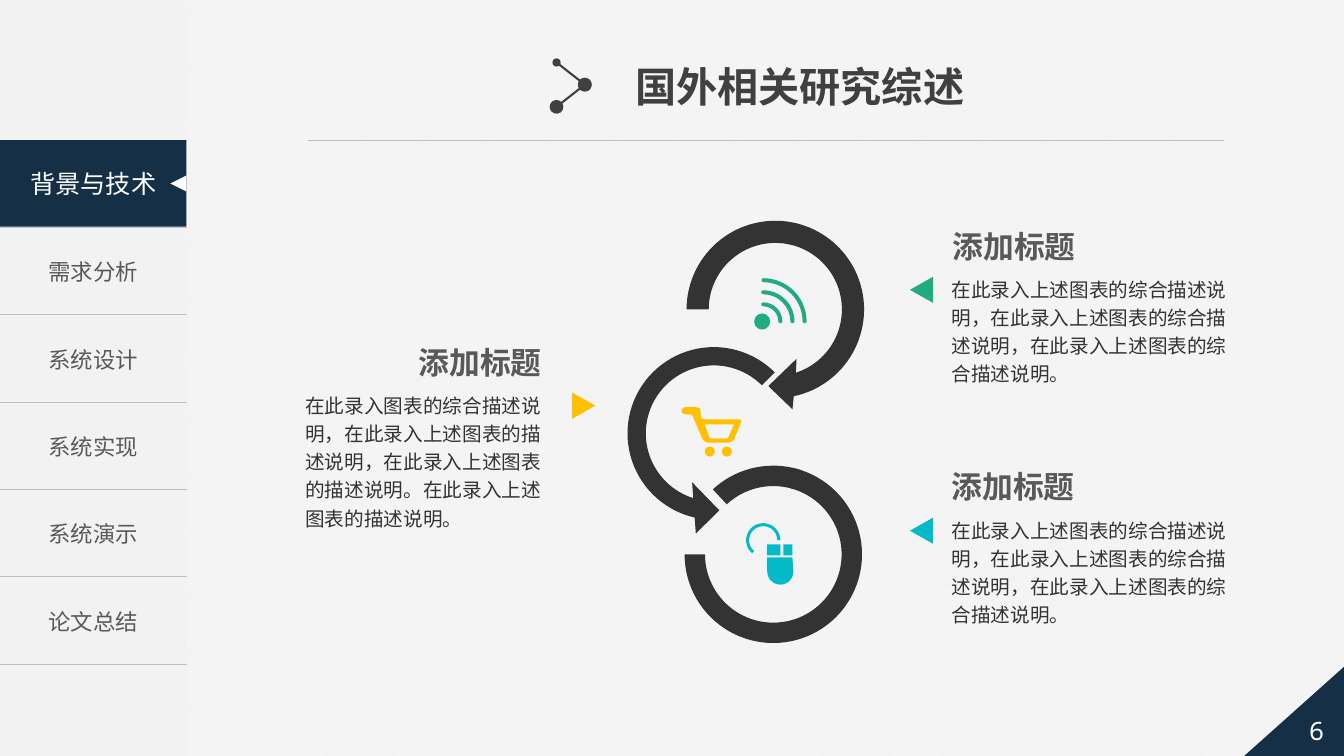
from math import ceil, cos, radians, sin, tan

from lxml.etree import SubElement
from pptx import Presentation
from pptx.dml.color import RGBColor
from pptx.enum.dml import MSO_PATTERN
from pptx.enum.shapes import MSO_CONNECTOR, MSO_SHAPE
from pptx.enum.text import MSO_ANCHOR, MSO_AUTO_SIZE, PP_ALIGN
from pptx.oxml.ns import qn
from pptx.util import Inches, Pt

COLORS = {
    "paper": "F2F2F2", "white": "FFFFFF", "navy": "152F47", "rule": "BFBFBF",
    "title": "404040", "heading": "595959", "dark": "333333",
    "green": "21AB82", "yellow": "FFC000", "cyan": "05BAC8",
}
SANS = "Noto Sans CJK SC"
TITLE = "国外相关研究综述"
PAGE_NUMBER = "6"
ACTIVE_SECTION = "背景与技术"
SECTIONS = ["需求分析", "系统设计", "系统实现", "系统演示", "论文总结"]
RIGHT_TEXT = "在此录入上述图表的综合描述说明，" * 2 + "在此录入上述图表的综合描述说明。"
LEFT_TEXT = ("在此录入图表的综合描述说明，在此录入上述图表的描述说明，"
             "在此录入上述图表的描述说明。在此录入上述图表的描述说明。")
TOPICS = [
    ("添加标题", RIGHT_TEXT, "green", (9.35, 2.21), (9.34, 2.66, 3.09, 1.23), 9.01, 270, PP_ALIGN.LEFT),
    ("添加标题", RIGHT_TEXT, "cyan", (9.34, 4.59), (9.34, 5.05, 3.09, 1.23), 9.01, 270, PP_ALIGN.LEFT),
    ("添加标题", LEFT_TEXT, "yellow", (4.03, 3.36), (2.93, 3.81, 2.67, 1.51), 5.66, 90, PP_ALIGN.RIGHT),
]
SIDEBAR_WIDTH, MENU_TOP, MENU_HEIGHT = 1.85, 1.39, 5.2
TOP_RING = (7.69, 3.07)
TOP_OUTER, TOP_INNER = 0.88, 0.66
ARROW_HEAD = [(7.86, 4.06), (7.62, 3.83), (7.9, 3.56)]
LOWER_RING = (6.79, 4.62, 1.76, 1.76)
LOWER_ARCS = [(136.244, 172.282, 0.115), (170.851, 108, 0.115)]
MIDDLE_ARROW = (0.089, 11.423, 62.936, 189, 0.125)
SIGNAL_CENTER = (7.57, 3.19)
SIGNAL_RADII = [0.17, 0.29, 0.41]
CART_BODY = [
    (7.34, 4.16), (6.99, 4.16), (6.96, 4.15), (6.95, 4.12), (6.95, 4.08),
    (6.94, 4.05), (6.91, 4.04), (6.79, 4.04), (6.77, 4.05), (6.76, 4.08),
    (6.77, 4.1), (6.79, 4.11), (6.84, 4.11), (6.87, 4.12), (6.88, 4.15),
    (6.97, 4.36), (6.99, 4.38), (7.02, 4.39), (7.23, 4.39), (7.26, 4.38),
    (7.28, 4.36), (7.35, 4.19), (7.35, 4.17),
]
CART_BASKET = [(7.22, 4.35), (7.04, 4.35), (6.99, 4.21), (7.28, 4.21)]
MOUSE_BUTTONS = [(7.61, 7.74), (7.77, 7.86)]

deck = Presentation()
deck.slide_width, deck.slide_height = Inches(13.33), Inches(7.5)
page = deck.slides.add_slide(deck.slide_layouts[6])


def rgb(name):
    return RGBColor.from_string(COLORS[name])


def place(*lengths):
    return [Inches(length) for length in lengths]


def paint(shape, color):
    shape.shadow.inherit = False
    shape.line.fill.background()
    if color:
        shape.fill.solid()
        shape.fill.fore_color.rgb = rgb(color)
    else:
        shape.fill.background()


def add_preset(kind, frame, color, rotation=0, flipped=False, adjustments=()):
    shape = page.shapes.add_shape(kind, *place(*frame))
    paint(shape, color)
    shape.rotation = rotation
    for index, value in enumerate(adjustments):
        shape.adjustments[index] = value
    if flipped:
        shape._element.spPr.xfrm.set("flipH", "1")
    return shape


def write(frame, text, size, color, align=PP_ALIGN.CENTER, bold=False, font=SANS):
    para = frame.paragraphs[0]
    para.text = text
    para.alignment = align
    para.font.size = Pt(size)
    para.font.bold = bold
    para.font.color.rgb = rgb(color)
    para.font.name = font
    defaults = para._p.get_or_add_pPr().find(qn("a:defRPr"))
    SubElement(defaults, qn("a:ea"), typeface=font)
    return para


def add_text(frame, text, size, color, align, wrap=False, **style):
    box = page.shapes.add_textbox(*place(*frame))
    box.text_frame.word_wrap = wrap
    box.text_frame.auto_size = MSO_AUTO_SIZE.SHAPE_TO_FIT_TEXT
    return write(box.text_frame, text, size, color, align, **style)


def add_line(start, end, color, width, ends=()):
    line = page.shapes.add_connector(MSO_CONNECTOR.STRAIGHT, *place(*start, *end))
    line.line.color.rgb = rgb(color)
    line.line.width = Pt(width)
    for tag, size in zip(("a:headEnd", "a:tailEnd"), ends):
        SubElement(line.line._get_or_add_ln(), qn(tag), type="oval", w=size, len=size)
    SubElement(line._element.spPr, qn("a:effectLst"))


def straight(points):
    return [[point] for point in points]


def arc(center, radius, start, end):
    count = ceil(abs(end - start) / 60)
    turn = radians(end - start) / count
    pull = 4 / 3 * tan(turn / 4)

    def spot(angle, reach=0):
        return (center[0] + radius * (cos(angle) - reach * sin(angle)),
                center[1] + radius * (sin(angle) + reach * cos(angle)))

    steps = [[spot(radians(start))]]
    for index in range(count):
        begin = radians(start) + turn * index
        finish = begin + turn
        steps.append([spot(begin, pull), spot(finish, -pull), spot(finish)])
    return steps


def add_outline(color, *contours):
    builder = page.shapes.build_freeform(*place(*contours[0][0][0]))
    for index, contour in enumerate(contours):
        if index:
            builder.move_to(*place(*contour[0][0]))
        builder.add_line_segments([place(*point) for step in contour[1:] for point in step], close=True)
    shape = builder.convert_to_shape()
    paint(shape, color)
    lines = shape._element.spPr.iter(qn("a:lnTo"))
    lines = iter(list(lines))
    for step in (step for contour in contours for step in contour[1:]):
        first, *others = [next(lines) for point in step]
        if others:
            curve = first.makeelement(qn("a:cubicBezTo"))
            first.addprevious(curve)
            for line in (first, *others):
                curve.append(line[0])
                line.getparent().remove(line)


def add_sidebar():
    add_preset(MSO_SHAPE.RECTANGLE, (0, 0, SIDEBAR_WIDTH, 7.5), "paper")
    labels = [""] + SECTIONS
    frame = place(0, MENU_TOP, SIDEBAR_WIDTH, MENU_HEIGHT)
    table = page.shapes.add_table(len(labels), 1, *frame).table
    table.first_row = table.horz_banding = False
    for row, label in enumerate(labels):
        cell = table.cell(row, 0)
        cell.vertical_anchor = MSO_ANCHOR.MIDDLE
        properties = cell._tc.get_or_add_tcPr()
        for side in "LRTB":
            edge = SubElement(properties, qn("a:ln" + side), w=str(Pt(1)))
            if side in "LR":
                SubElement(edge, qn("a:noFill"))
            else:
                fill = SubElement(edge, qn("a:solidFill"))
                SubElement(fill, qn("a:srgbClr"), val=COLORS["rule"])
        cell.fill.background()
        if label:
            write(cell.text_frame, label, 16, "heading")
    active = add_preset(MSO_SHAPE.RECTANGLE, (0, MENU_TOP, SIDEBAR_WIDTH, 0.86), "navy")
    active.text_frame.vertical_anchor = MSO_ANCHOR.MIDDLE
    write(active.text_frame, ACTIVE_SECTION, 18, "white")
    add_preset(MSO_SHAPE.ISOSCELES_TRIANGLE, (1.69, 1.74, 0.16, 0.16), "white", 270)


def add_header_and_corner():
    add_line((3.05, MENU_TOP), (12.14, MENU_TOP), "rule", 0.5)
    add_preset(MSO_SHAPE.RIGHT_TRIANGLE, (12.33, 6.58, 1.04, 0.93), "navy", flipped=True)
    corner = add_preset(MSO_SHAPE.PENTAGON, (12.45, 6.97, 1.08, 0.55), None, flipped=True)
    corner.text_frame.vertical_anchor = MSO_ANCHOR.MIDDLE
    write(corner.text_frame, PAGE_NUMBER, 18, "white", font="Noto Sans Mono")
    add_text((6.2, 0.56, 3.5, 0.59), TITLE, 29.4, "title", PP_ALIGN.LEFT, bold=True, font="Arial")
    add_line((5.52, 0.62), (5.8, 0.84), "title", 1.5, ("med", "lg"))
    add_line((5.8, 0.84), (5.52, 1.06), "title", 1.5, ("lg", "lg"))


def add_topics():
    for heading, text, color, corner, body, marker, rotation, align in TOPICS:
        add_text((*corner, 1.44, 0.47), heading, 22, "heading", align, bold=True)
        add_preset(MSO_SHAPE.ISOSCELES_TRIANGLE, (marker, body[1] + 0.1, 0.26, 0.23), color, rotation)
        add_text(body, text, 14, "dark", PP_ALIGN.LEFT, wrap=True).line_spacing = 1.2


def add_rings():
    add_preset(MSO_SHAPE.LEFT_CIRCULAR_ARROW, (6.06, 3.28, 2.04, 2.04), "dark", adjustments=MIDDLE_ARROW)
    for adjustments in LOWER_ARCS:
        add_preset(MSO_SHAPE.BLOCK_ARC, LOWER_RING, "dark", adjustments=adjustments)
    add_outline("dark", arc(TOP_RING, TOP_OUTER, -77, 78) + straight(ARROW_HEAD)
                + arc(TOP_RING, TOP_INNER, 72, -77))
    add_outline("dark", arc(TOP_RING, TOP_OUTER, 180, 284) + arc(TOP_RING, TOP_INNER, 284, 180))


def add_icons():
    x, y = SIGNAL_CENTER
    half = 0.02
    add_preset(MSO_SHAPE.OVAL, (x - 0.09, y - 0.08, 0.16, 0.16), "green")
    for radius in SIGNAL_RADII:
        add_outline("green", arc(SIGNAL_CENTER, radius + half, -90, 0) + arc((x + radius, y), half, 0, 180)
                    + arc(SIGNAL_CENTER, radius - half, 0, -90) + arc((x, y - radius), half, 90, 270))
    for wheel in (6.99, 7.16):
        add_preset(MSO_SHAPE.OVAL, (wheel, 4.43, 0.1, 0.1), "yellow")
    add_outline("yellow", straight(CART_BODY), straight(CART_BASKET))
    buttons = [straight([(left, 5.4), (right, 5.4), (right, 5.51), (left, 5.51)])
               for left, right in MOUSE_BUTTONS]
    add_outline("cyan", *buttons, straight([(7.61, 5.53), (7.86, 5.53)]) + arc((7.74, 5.67), 0.13, 0, 180))
    cable = (7.57, 5.36)
    add_outline("cyan", arc(cable, 0.17, 130, 360) + arc(cable, 0.14, 360, 130))


backdrop = page.background.fill
backdrop.patterned()
backdrop.pattern = MSO_PATTERN.LIGHT_UPWARD_DIAGONAL
backdrop.fore_color.rgb = rgb("white")
backdrop.back_color.rgb = rgb("paper")
add_sidebar()
add_header_and_corner()
add_topics()
add_rings()
add_icons()
deck.save("out.pptx")
